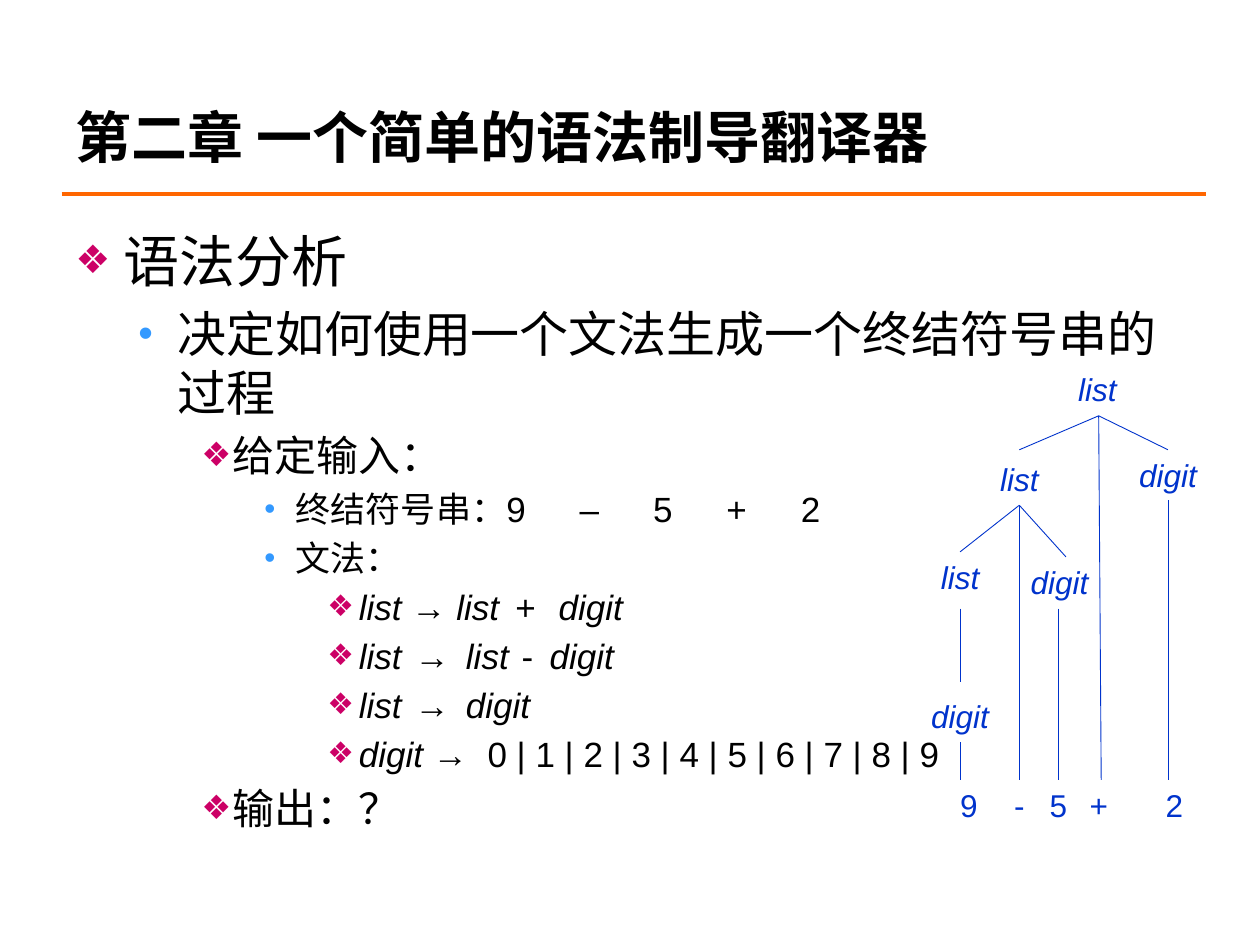
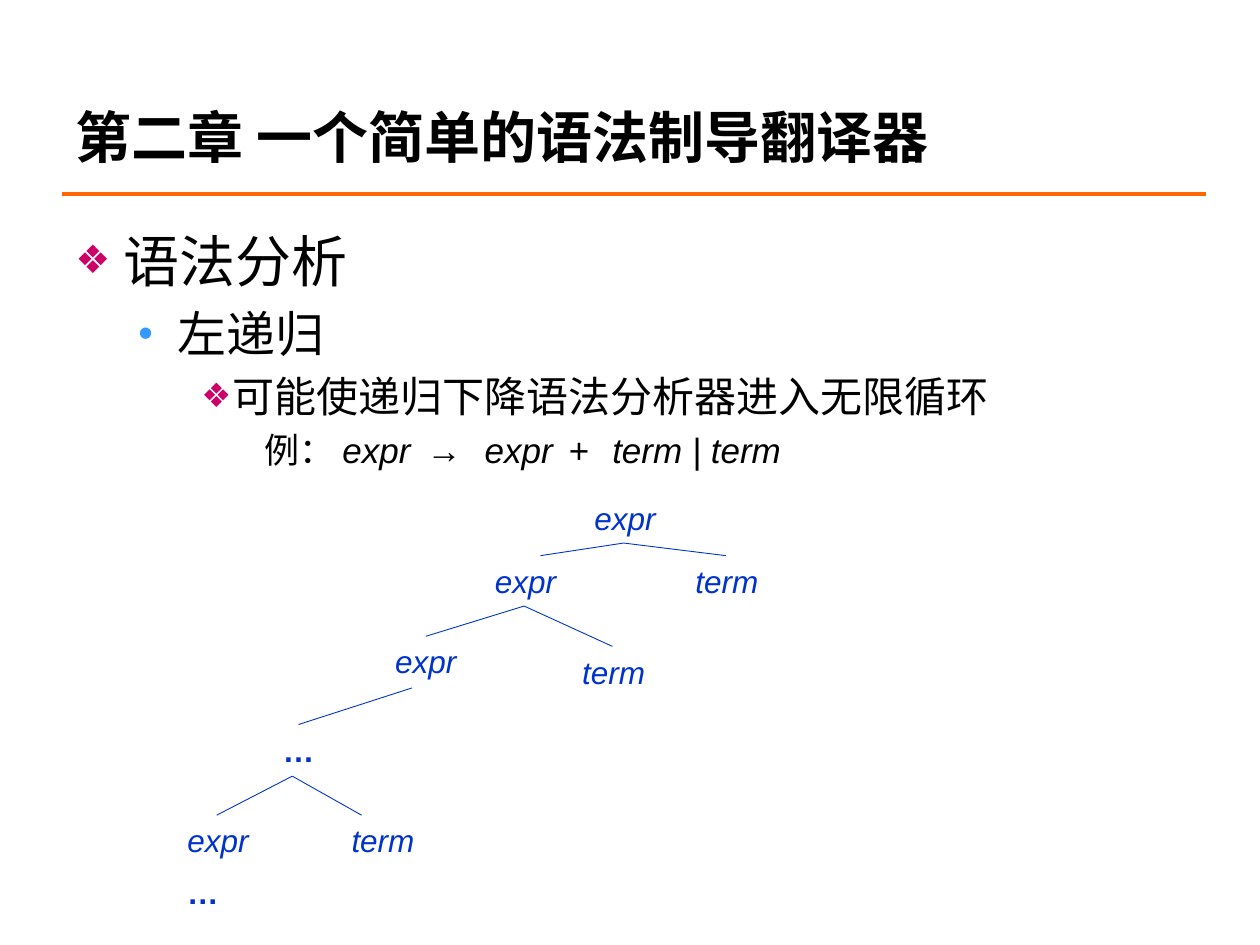
from dataclasses import dataclass

from lxml import etree
from pptx import Presentation
from pptx.dml.color import RGBColor
from pptx.enum.shapes import MSO_CONNECTOR
from pptx.enum.text import MSO_ANCHOR, PP_ALIGN
from pptx.oxml.ns import qn
from pptx.util import Inches, Pt

LINE = MSO_CONNECTOR.STRAIGHT
LEFT, MID = PP_ALIGN.LEFT, PP_ALIGN.CENTER
TOP, CENTER = MSO_ANCHOR.TOP, MSO_ANCHOR.MIDDLE


@dataclass(frozen=True)
class Theme:
    ink: str = "000000"
    rule: str = "FF6600"
    tree: str = "0033CC"
    rose: str = "CC0066"
    sky: str = "3399FF"
    latin: str = "Arial"
    han: str = "Noto Sans CJK SC"
    title: int = 32
    node: int = 18
    levels: tuple = (32, 28, 24, 20, 20)


THEME = Theme()
INDENTS = ((0.38, -0.38), (0.81, -0.31), (1.25, -0.25), (1.75, -0.25), (2.25, -0.25))
MARKS = (("❖", THEME.rose, 70), ("•", THEME.sky, 85), ("❖", THEME.rose, 80),
         ("•", THEME.sky, 90), ("❖", THEME.rose, 85))
TITLE = "第二章 一个简单的语法制导翻译器"
ITAL = {"italic": True}
WIDE = {"space": 3.7}
LEAD = {"space": 1.85}
PLUS = (" + ", WIDE)
ARROW = (" → ", LEAD)
LIST, DIGIT, EXPR = [(word, ITAL) for word in ("list", "digit", "expr")]

RULES = [
    (0, [("语法分析", {})]),
    (1, [("决定如何使用一个文法生成一个终结符号串的过程", {})]),
    (2, [("给定输入：", {})]),
    (3, [("终结符号串：", {}), ("9 – 5 + 2", {"space": 12.6})]),
    (3, [("文法：", {})]),
    (4, [LIST, (" → ", {}), LIST, PLUS, DIGIT]),
    (4, [LIST, ARROW, LIST, (" - ", LEAD), DIGIT]),
    (4, [LIST, ARROW, DIGIT]),
    (4, [DIGIT, (" ", {}), ("→ ", {"space": 2.8}),
         ("0 | 1 | 2 | 3 | 4 | 5 | 6 | 7 | 8 | 9", {})]),
    (2, [("输出：？", {})]),
]
LOOP = [
    (0, [("语法分析", {})]),
    (1, [("左递归", {})]),
    (2, [("可能使递归下降语法分析器进入无限循环", {})]),
    (3, [("例： ", {}), EXPR, (" → ", WIDE), EXPR, PLUS, ("term | term", ITAL)]),
]

PARSE_NODES = [
    ("list", 1.43, 0), ("list", 0.81, 0.71), ("list", 0.34, 1.49),
    ("digit", 0.34, 2.59), ("digit", 1.13, 1.53), ("digit", 1.99, 0.68),
    ("9", 0.41, 3.3), ("-", 0.81, 3.3), ("5", 1.12, 3.3),
    ("+", 1.44, 3.3), ("2", 2.04, 3.3),
]
PARSE_FANS = [
    ((1.44, 0.41), [(0.81, 0.68), (1.99, 0.68), (1.46, 3.3)]),
    ((0.81, 1.12), [(0.34, 1.49), (1.18, 1.53), (0.81, 3.3)]),
    ((0.34, 1.94), [(0.34, 2.52)]),
    ((0.34, 3), [(0.34, 3.3)]),
    ((1.12, 1.94), [(1.12, 3.3)]),
    ((1.99, 1.08), [(1.99, 3.3)]),
]
LOOP_NODES = [
    ("expr", 3.58, 0), ("expr", 2.79, 0.5), ("term", 4.39, 0.5),
    ("expr", 2, 1.14), ("term", 3.49, 1.22), ("…", 0.99, 1.84),
    ("expr", 0.35, 2.56), ("term", 1.66, 2.56), ("…", 0.23, 2.97),
]
LOOP_FANS = [
    ((3.57, 0.4), [(2.91, 0.5), (4.38, 0.5)]),
    ((2.78, 0.9), [(2, 1.14), (3.48, 1.22)]),
    ((1.89, 1.55), [(0.99, 1.84)]),
    ((0.94, 2.25), [(0.34, 2.56), (1.49, 2.56)]),
]


def add_node(parent, tag, **attrs):
    return etree.SubElement(parent, qn(tag), attrs)


def add_run(para, text, size, color=THEME.ink, latin=THEME.latin,
            bold=False, italic=False, space=0):
    run = para.add_run()
    run.text = text
    font = run.font
    font.size, font.bold, font.italic = Pt(size), bold, italic
    font.name = latin
    font.color.rgb = RGBColor.from_string(color)
    props = run._r.get_or_add_rPr()
    add_node(props, "a:ea", typeface=THEME.han)
    if space:
        props.set("spc", str(round(space * 100)))


def add_box(shapes, box, wrap=True, anchor=TOP):
    frame = shapes.add_textbox(*map(Inches, box)).text_frame
    frame.word_wrap = wrap
    frame.vertical_anchor = anchor
    return frame


def add_line(shapes, start, end, color, width):
    line = shapes.add_connector(LINE, *map(Inches, (*start, *end)))
    line.line.color.rgb = RGBColor.from_string(color)
    line.line.width = Pt(width)
    add_node(line._element.spPr, "a:effectLst")


def set_level(para, level, marked):
    para.level = level
    para.alignment = LEFT
    left, hang = INDENTS[level] if marked else (1.5, 0)
    props = para._p.get_or_add_pPr()
    props.set("marL", str(Inches(left)))
    props.set("indent", str(Inches(hang)))
    before = add_node(props, "a:spcBef")
    add_node(before, "a:spcPct", val="20000")
    if not marked:
        add_node(props, "a:buNone")
        return
    mark, color, size = MARKS[level]
    add_node(add_node(props, "a:buClr"), "a:srgbClr", val=color)
    add_node(props, "a:buSzPct", val=str(size * 1000))
    add_node(props, "a:buFont", typeface=THEME.latin)
    add_node(props, "a:buChar", char=mark)


def add_head(shapes, box):
    left, top, _, _ = box
    add_line(shapes, (left - 0.01, top + 0.78), (left + 9.07, top + 0.78), THEME.rule, 2.25)
    frame = add_box(shapes, box, anchor=CENTER)
    add_run(frame.paragraphs[0], TITLE, THEME.title, latin=THEME.han, bold=True)


def add_body(shapes, box, lines, plain=()):
    frame = add_box(shapes, box)
    for i, (level, runs) in enumerate(lines):
        para = frame.add_paragraph() if i else frame.paragraphs[0]
        set_level(para, level, i not in plain)
        for text, style in runs:
            add_run(para, text, THEME.levels[level], **style)


def add_tree(shapes, left, top, nodes, fans):
    for text, x, y in nodes:
        frame = add_box(shapes, (left + x - 0.35, top + y, 0.7, 0.4), wrap=False)
        para = frame.paragraphs[0]
        para.alignment = MID
        add_run(para, text, THEME.node, THEME.tree,
                bold=text == "…", italic=text.isalpha())
    for (x, y), ends in fans:
        for dx, dy in ends:
            add_line(shapes, (left + x, top + y), (left + dx, top + dy), THEME.tree, 0.5)


def add_slide(deck, lines, plain=()):
    shapes = deck.slides.add_slide(deck.slide_layouts[6]).shapes
    add_head(shapes, (0.5, 0.76, 7.26, 0.64))
    add_body(shapes, (0.5, 1.75, 9, 4.95), lines, plain)
    return shapes


def main():
    deck = Presentation()
    deck.slide_width, deck.slide_height = Inches(10), Inches(7.5)
    shapes = add_slide(deck, RULES)
    add_tree(shapes.add_group_shape().shapes, 7.28, 2.89, PARSE_NODES, PARSE_FANS)
    shapes = add_slide(deck, LOOP, plain=(3,))
    add_tree(shapes, 1.38, 3.91, LOOP_NODES, LOOP_FANS)
    deck.save("out.pptx")


if __name__ == "__main__":
    main()
